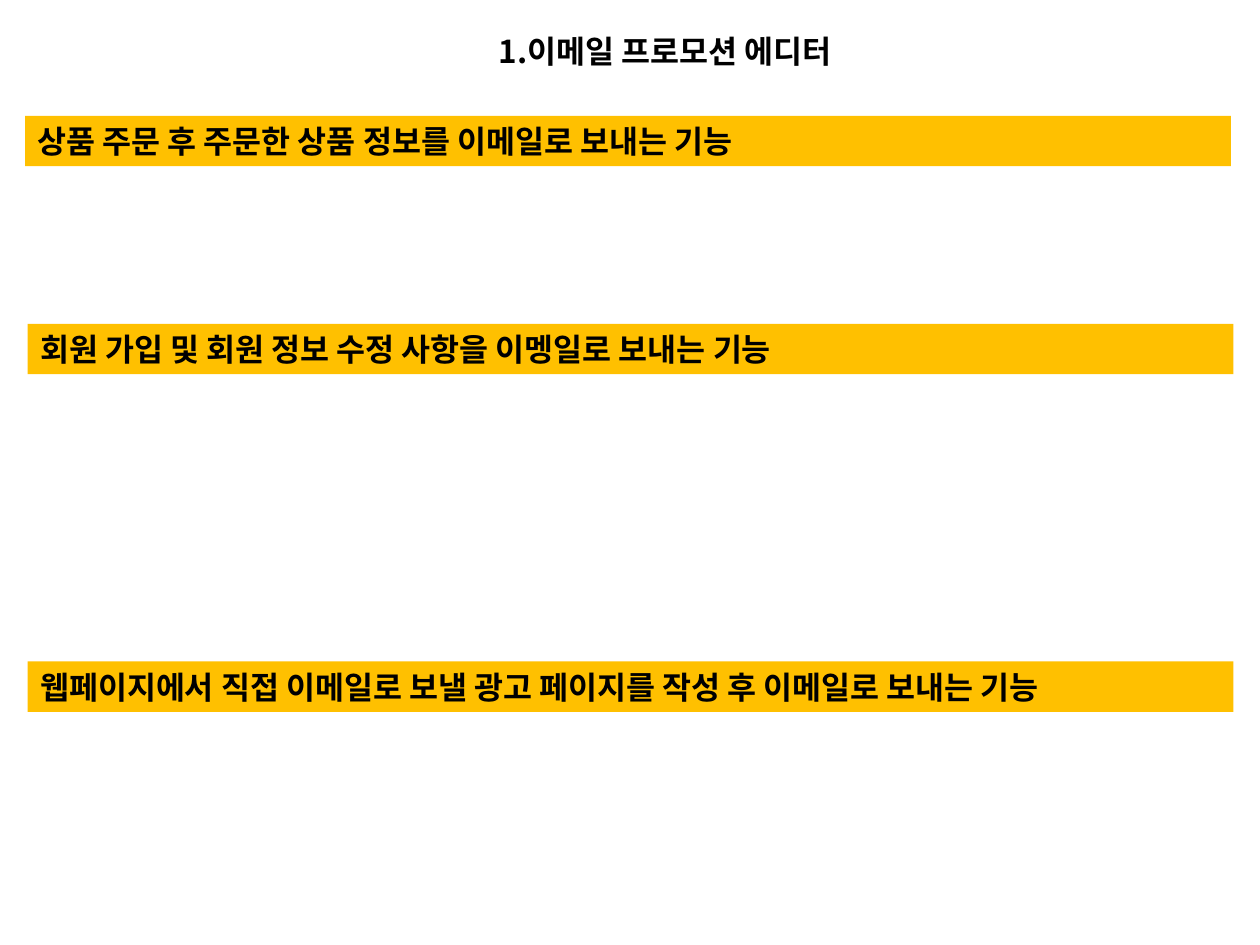
from lxml.etree import SubElement
from pptx import Presentation
from pptx.dml.color import RGBColor
from pptx.enum.shapes import MSO_SHAPE
from pptx.enum.text import MSO_ANCHOR, MSO_AUTO_SIZE, PP_ALIGN
from pptx.oxml.ns import qn
from pptx.util import Inches, Pt

FONT = "Noto Sans CJK KR"
BAR_HEIGHT = 0.4
FEATURES = [
    (0.2, 0.92, "상품 주문 후 주문한 상품 정보를 이메일로 보내는 기능"),
    (0.22, 2.57, "회원 가입 및 회원 정보 수정 사항을 이멩일로 보내는 기능"),
    (0.22, 5.25, "웹페이지에서 직접 이메일로 보낼 광고 페이지를 작성 후 이메일로 보내는 기능"),
]


def color(value):
    return RGBColor.from_string(value)


def write_heading(box, text, alignment):
    frame = box.text_frame
    frame.text = text
    frame.word_wrap = True
    frame.auto_size = MSO_AUTO_SIZE.NONE
    frame.vertical_anchor = MSO_ANCHOR.MIDDLE
    para = frame.paragraphs[0]
    para.alignment = alignment
    para.font.name = FONT
    para.font.size = Pt(18)
    para.font.bold = True
    para.font.color.rgb = color("000000")
    for span in para.runs:
        properties = span._r.get_or_add_rPr()
        SubElement(properties, qn("a:ea"), typeface=FONT)


def place_title(page, text):
    title = page.shapes.title
    title.left, title.top = Inches(1.38), Inches(0.2)
    title.width, title.height = Inches(7.8), Inches(BAR_HEIGHT)
    write_heading(title, text, PP_ALIGN.CENTER)


def add_feature_bar(page, left, top, text):
    bar = page.shapes.add_shape(
        MSO_SHAPE.RECTANGLE, Inches(left), Inches(top), Inches(9.57), Inches(BAR_HEIGHT)
    )
    bar.shadow.inherit = False
    bar.fill.solid()
    bar.fill.fore_color.rgb = color("FFC000")
    bar.line.fill.background()
    write_heading(bar, text, PP_ALIGN.LEFT)


def main():
    deck = Presentation()
    deck.slide_width, deck.slide_height = Inches(10), Inches(7.5)
    page = deck.slides.add_slide(deck.slide_layouts.get_by_name("Title Only"))
    place_title(page, "1.이메일 프로모션 에디터")
    for left, top, text in FEATURES:
        add_feature_bar(page, left, top, text)
    deck.save("out.pptx")


if __name__ == "__main__":
    main()
